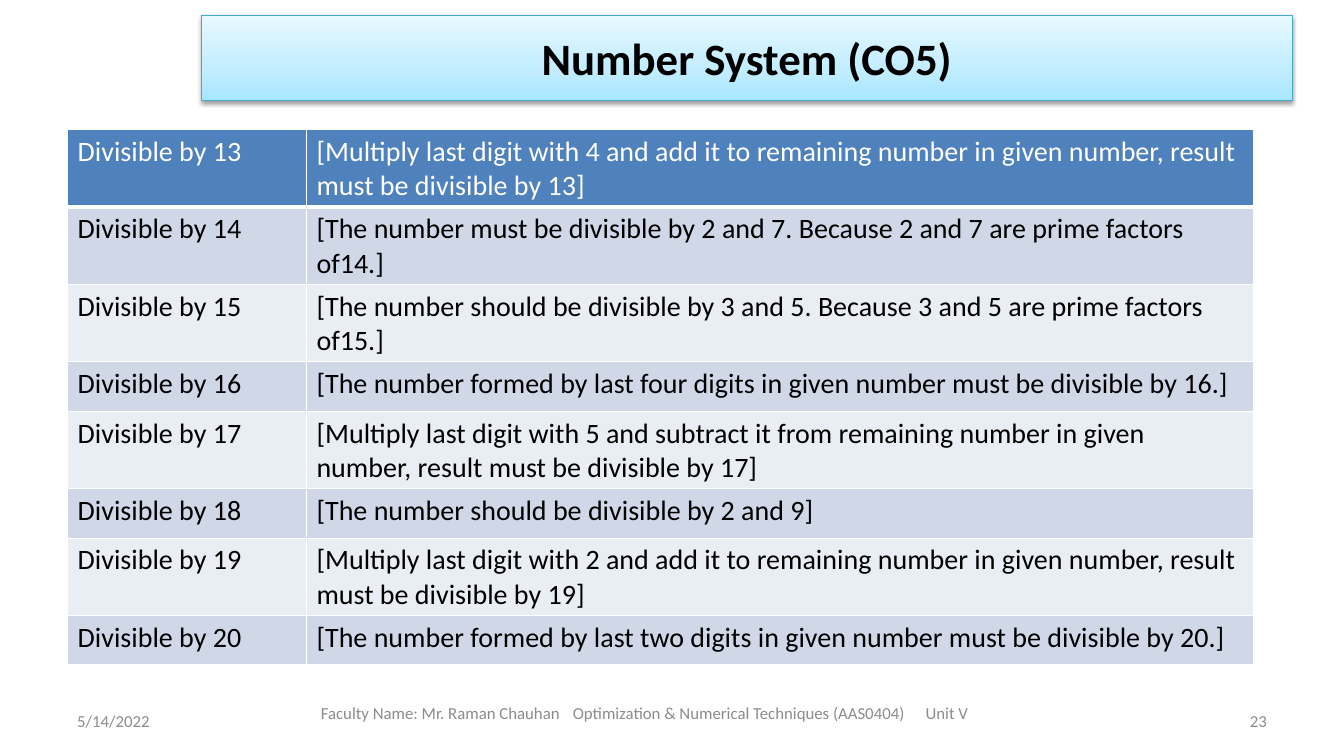
import pptx
import pptx.util
import pptx.dml.color
import pptx.enum.shapes
import pptx.enum.text
import pptx.oxml
from lxml import etree

Pt = pptx.util.Pt
ALIGN = pptx.enum.text.PP_ALIGN
ANCHOR = pptx.enum.text.MSO_ANCHOR
NS = 'xmlns:a="http://schemas.openxmlformats.org/drawingml/2006/main"'
COLORS = {
    "ink": "000000", "white": "FFFFFF", "footer": "8C8C8C",
    "header": "4F81BD", "band_dark": "D0D8E8", "band_light": "E9EDF4",
    "title_line": "46AAC5",
}
TITLE_STOPS = [(0, "A7E6FF"), (35, "C1EDFF"), (100, "E7F8FF")]
RULES = [
    (13, "[Multiply last digit with 4 and add it to remaining number in given number, result must be divisible by 13]"),
    (14, "[The number must be divisible by 2 and 7. Because 2 and 7 are prime factors of14.]"),
    (15, "[The number should be divisible by 3 and 5. Because 3 and 5 are prime factors of15.]"),
    (16, "[The number formed by last four digits in given number must be divisible by 16.]"),
    (17, "[Multiply last digit with 5 and subtract it from remaining number in given number, result must be divisible by 17]"),
    (18, "[The number should be divisible by 2 and 9]"),
    (19, "[Multiply last digit with 2 and add it to remaining number in given number, result must be divisible by 19]"),
    (20, "[The number formed by last two digits in given number must be divisible by 20.]"),
]


def rgb(name):
    return pptx.dml.color.RGBColor.from_string(COLORS[name])


def write(frame, text, size, color, align=ALIGN.LEFT, bold=False):
    frame.text = text
    paragraph = frame.paragraphs[0]
    paragraph.alignment = align
    for run in paragraph.runs:
        run.font.name = "Calibri"
        run.font.size = Pt(size)
        run.font.bold = bold
        run.font.color.rgb = rgb(color)


def add_title(slide, text):
    banner = slide.shapes.add_shape(
        pptx.enum.shapes.MSO_SHAPE.RECTANGLE, Pt(144), Pt(10.8), Pt(779), Pt(61.2))
    banner.fill.gradient()
    banner.fill.gradient_angle = 90
    stops = banner._element.spPr.find(".//{*}gsLst")
    for stop in list(stops):
        stops.remove(stop)
    for position, color in TITLE_STOPS:
        stops.append(pptx.oxml.parse_xml(
            f'<a:gs {NS} pos="{position * 1000}"><a:srgbClr val="{color}"/></a:gs>'))
    banner.line.color.rgb = rgb("title_line")
    banner.line.width = Pt(0.75)
    banner.shadow.inherit = False
    banner._element.spPr.find("{*}effectLst").append(pptx.oxml.parse_xml(
        f'<a:outerShdw {NS} blurRad="{Pt(3.1)}" dist="{Pt(1.6)}" dir="5400000" rotWithShape="0">'
        f'<a:srgbClr val="{COLORS["ink"]}"><a:alpha val="38000"/></a:srgbClr></a:outerShdw>'))
    banner.text_frame.vertical_anchor = ANCHOR.MIDDLE
    write(banner.text_frame, text, 32, "ink", ALIGN.CENTER, bold=True)


def set_borders(cell, top, bottom):
    """Draw white cell borders; top and bottom are widths in points."""
    properties = cell._tc.get_or_add_tcPr()
    for side, width in (("L", 1), ("R", 1), ("T", top), ("B", bottom)):
        properties.append(pptx.oxml.parse_xml(
            f'<a:ln{side} {NS} w="{Pt(width)}"><a:solidFill>'
            f'<a:srgbClr val="{COLORS["white"]}"/></a:solidFill></a:ln{side}>'))


def add_rules_table(slide):
    table = slide.shapes.add_table(
        len(RULES), 2, Pt(48.3), Pt(92.7), Pt(847.4), Pt(283.2)).table
    for column, width in zip(table.columns, (170.6, 676.8)):
        column.width = Pt(width)
    for i, (divisor, rule) in enumerate(RULES):
        table.rows[i].height = Pt(35.4)
        band = "header" if i == 0 else ("band_light", "band_dark")[i % 2]
        for j, text in enumerate((f"Divisible by {divisor}", rule)):
            cell = table.cell(i, j)
            set_borders(cell, top=3 if i == 1 else 1, bottom=3 if i == 0 else 1)
            cell.fill.solid()
            cell.fill.fore_color.rgb = rgb(band)
            write(cell.text_frame, text, 20, "white" if i == 0 else "ink")


def add_footer(slide, text, left, width, height, align=ALIGN.LEFT, inset=7.2, tabs=()):
    frame = slide.shapes.add_textbox(
        Pt(left), Pt(500.5), Pt(width), Pt(height)).text_frame
    frame.word_wrap = True
    frame.vertical_anchor = ANCHOR.MIDDLE
    frame.margin_left = Pt(inset)
    if tabs:
        tab_list = etree.SubElement(
            frame.paragraphs[0]._p.get_or_add_pPr(),
            "{http://schemas.openxmlformats.org/drawingml/2006/main}tabLst")
        for position in tabs:
            tab_list.append(pptx.oxml.parse_xml(
                f'<a:tab {NS} pos="{Pt(position)}" algn="l"/>'))
    write(frame, text, 12, "footer", align)


def main():
    deck = pptx.Presentation()
    deck.slide_width, deck.slide_height = Pt(960), Pt(540)
    slide = deck.slides.add_slide(deck.slide_layouts[6])
    add_title(slide, "Number System (CO5)")
    add_footer(slide, "5/14/2022", 48, 224, 28.8)
    add_footer(
        slide,
        "Faculty Name: Mr. Raman Chauhan\tOptimization & Numerical Techniques (AAS0404)\tUnit V",
        205.2, 521.3, 17.3, inset=24, tabs=(189.3, 442))
    add_footer(slide, "23", 688, 224, 28.8, ALIGN.RIGHT)
    add_rules_table(slide)
    deck.save("out.pptx")


if __name__ == "__main__":
    main()
